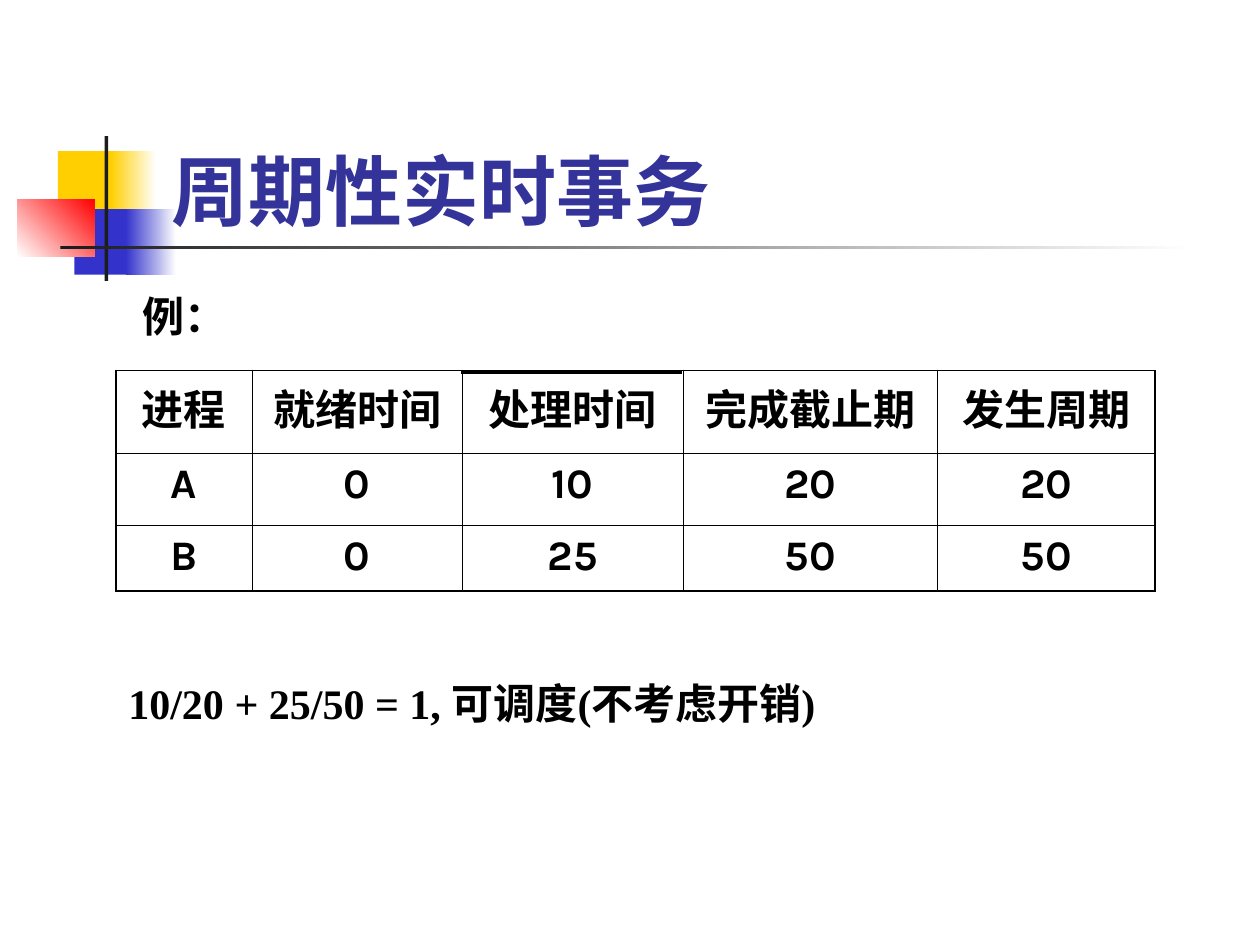
from lxml.etree import SubElement
from pptx import Presentation
from pptx.dml.color import RGBColor
from pptx.enum.lang import MSO_LANGUAGE_ID as Lang
from pptx.enum.shapes import MSO_CONNECTOR as Connector, MSO_SHAPE as Shape
from pptx.enum.text import MSO_ANCHOR as Anchor, PP_ALIGN as Align
from pptx.oxml.ns import qn
from pptx.util import Inches, Pt

COLORS = {
    "white": "FFFFFF", "yellow": "FFCF01", "blue": "3333CC", "red": "FF0000",
    "charcoal": "1C1C1C", "title": "333399", "black": "000000",
}
COLUMNS, ROWS = 100, 75
SANS, SERIF = "Karla", "Times New Roman"
OUTER, INNER = 1.08, 0.45


class SlideBuilder:
    def __init__(self, deck):
        self.width, self.height = deck.slide_width, deck.slide_height
        self.slide = deck.slides.add_slide(deck.slide_layouts[5])

    def x(self, columns):
        return round(self.width * columns / COLUMNS)

    def y(self, rows):
        return round(self.height * rows / ROWS)

    def area(self, left, top, width, height):
        return self.x(left), self.y(top), self.x(width), self.y(height)

    def color(self, name):
        return RGBColor.from_string(COLORS[name])

    def add_words(self, frame, text, size=24, font=SANS, color="black", align=Align.LEFT):
        paragraph = frame.paragraphs[0]
        paragraph.alignment = align
        run = paragraph.add_run()
        run.text = text
        run.font.size, run.font.name, run.font.bold = Pt(size), font, True
        run.font.color.rgb = self.color(color)
        run.font.language_id = Lang.SIMPLIFIED_CHINESE

    def title(self, text, *area):
        heading = self.slide.shapes.title
        self.slide.shapes[-1].element.addnext(heading.element)
        heading.left, heading.top, heading.width, heading.height = self.area(*area)
        heading.text_frame.vertical_anchor = Anchor.BOTTOM
        self.add_words(heading.text_frame, text, 44, color="title")

    def block(self, area, *colors, angle=0):
        block = self.slide.shapes.add_shape(Shape.RECTANGLE, *self.area(*area))
        block.shadow.inherit = False
        block.line.fill.background()
        if len(colors) == 1:
            block.fill.solid()
            block.fill.fore_color.rgb = self.color(colors[0])
            return
        block.fill.gradient()
        block.fill.gradient_angle = angle
        for stop, name in zip(block.fill.gradient_stops, colors):
            stop.color.rgb = self.color(name)

    def text(self, text, *area, wrap=True, **style):
        frame = self.slide.shapes.add_textbox(*self.area(*area)).text_frame
        frame.word_wrap = wrap
        self.add_words(frame, text, **style)

    def line(self, x1, y1, x2, y2, weight):
        line = self.slide.shapes.add_connector(
            Connector.STRAIGHT, self.x(x1), self.y(y1), self.x(x2), self.y(y2))
        line.line.width = Pt(weight)
        line.line.color.rgb = self.color("black")
        SubElement(line.element.spPr, qn("a:effectLst"))

    def borders(self, cell, **weights):
        properties = cell._tc.get_or_add_tcPr()
        for side, weight in weights.items():
            edge = SubElement(properties, qn(f"a:ln{side}"), w=str(Pt(weight)))
            fill = SubElement(edge, qn("a:solidFill"))
            SubElement(fill, qn("a:srgbClr"), val=COLORS["black"])

    def table(self, left, top, widths, heights, records):
        table = self.slide.shapes.add_table(
            len(heights), len(widths),
            *self.area(left, top, sum(widths), sum(heights))).table
        table.first_row = table.horz_banding = False
        for column, width in zip(table.columns, widths):
            column.width = self.x(width)
        for row, height in zip(table.rows, heights):
            row.height = self.y(height)
        last_row, last_column = len(heights) - 1, len(widths) - 1
        for r, record in enumerate(records):
            for c, value in enumerate(record):
                cell = table.cell(r, c)
                self.borders(cell,
                             L=OUTER if c == 0 else INNER,
                             R=OUTER if c == last_column else INNER,
                             T=OUTER if r == 0 else INNER,
                             B=OUTER if r == last_row else INNER)
                cell.fill.background()
                self.add_words(cell.text_frame, value, align=Align.CENTER)


def main():
    deck = Presentation()
    deck.slide_width, deck.slide_height = Inches(10), Inches(7.5)
    page = SlideBuilder(deck)

    page.block((4.6, 12, 4.8, 5.2), "yellow")
    page.block((8.8, 12, 3.6, 5.2), "yellow", "white")
    page.block((5.9, 16.6, 4.6, 5.2), "blue")
    page.block((10, 16.6, 4, 5.2), "blue", "white")
    page.block((1.4, 15.8, 6.1, 4.6), "white", "red", angle=45)
    page.block((8.3, 10.8, 0.3, 11.5), "charcoal")
    page.block((4.8, 19.5, 90, 0.3), "charcoal", "white")
    page.title("周期性实时事务", 12.6, 6.7, 85.2, 12.5)

    processes = [
        ("进程", "就绪时间", "处理时间", "完成截止期", "发生周期"),
        ("A", "0", "10", "20", "20"),
        ("B", "0", "25", "50", "50"),
    ]
    page.table(9.2, 29.4, (10.8, 16.7, 17.5, 20.2, 17.3), (6.6, 5.7, 5.2), processes)
    page.text("10/20 + 25/50 = 1, 可调度(不考虑开销)", 9.2, 53.3, 62.5, 5, font=SERIF)
    page.line(36.6, 29.5, 54.1, 29.5, 2.25)
    page.text("例：", 8.7, 22.6, 8.6, 5, wrap=False, align=Align.CENTER)

    deck.save("out.pptx")


if __name__ == "__main__":
    main()
